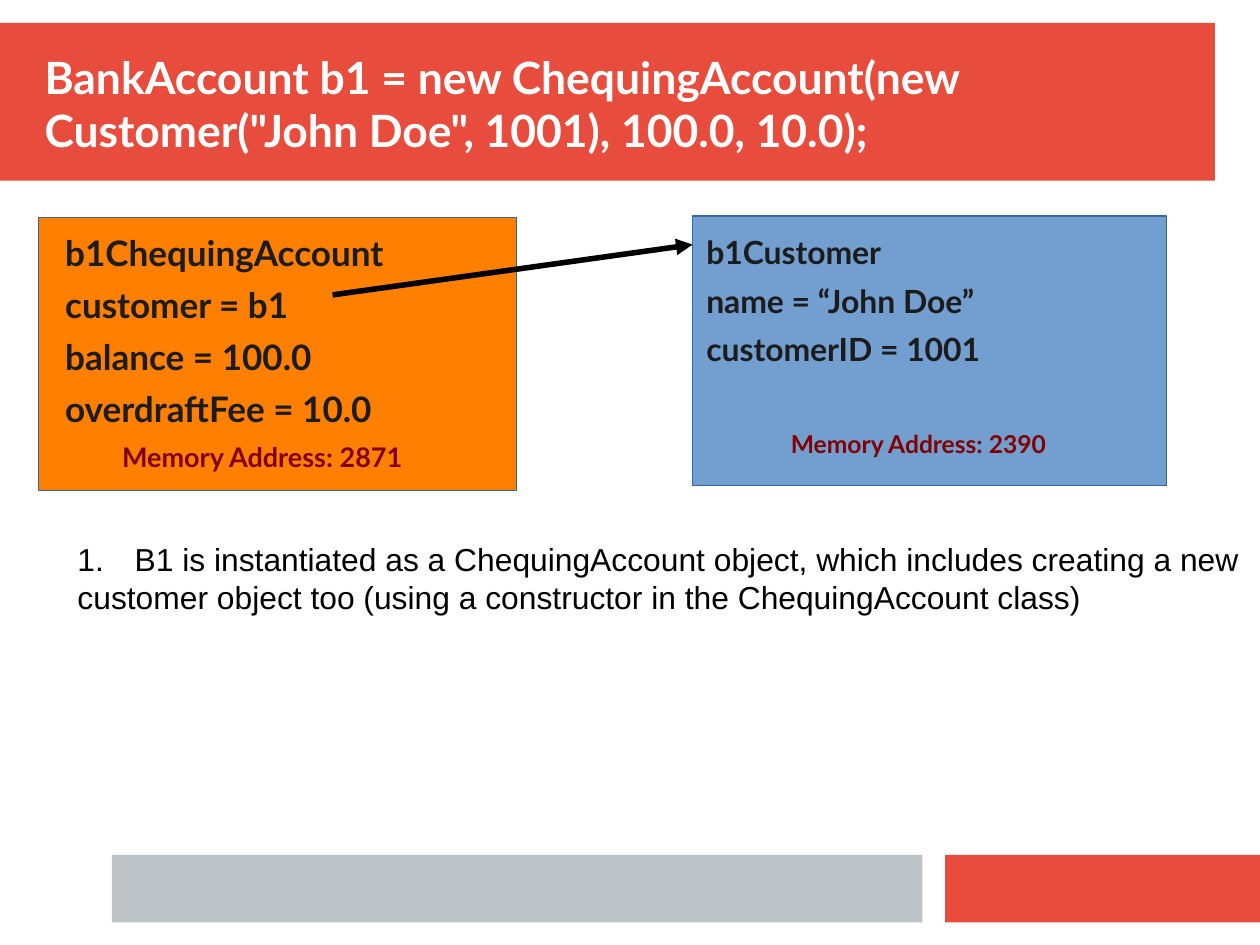
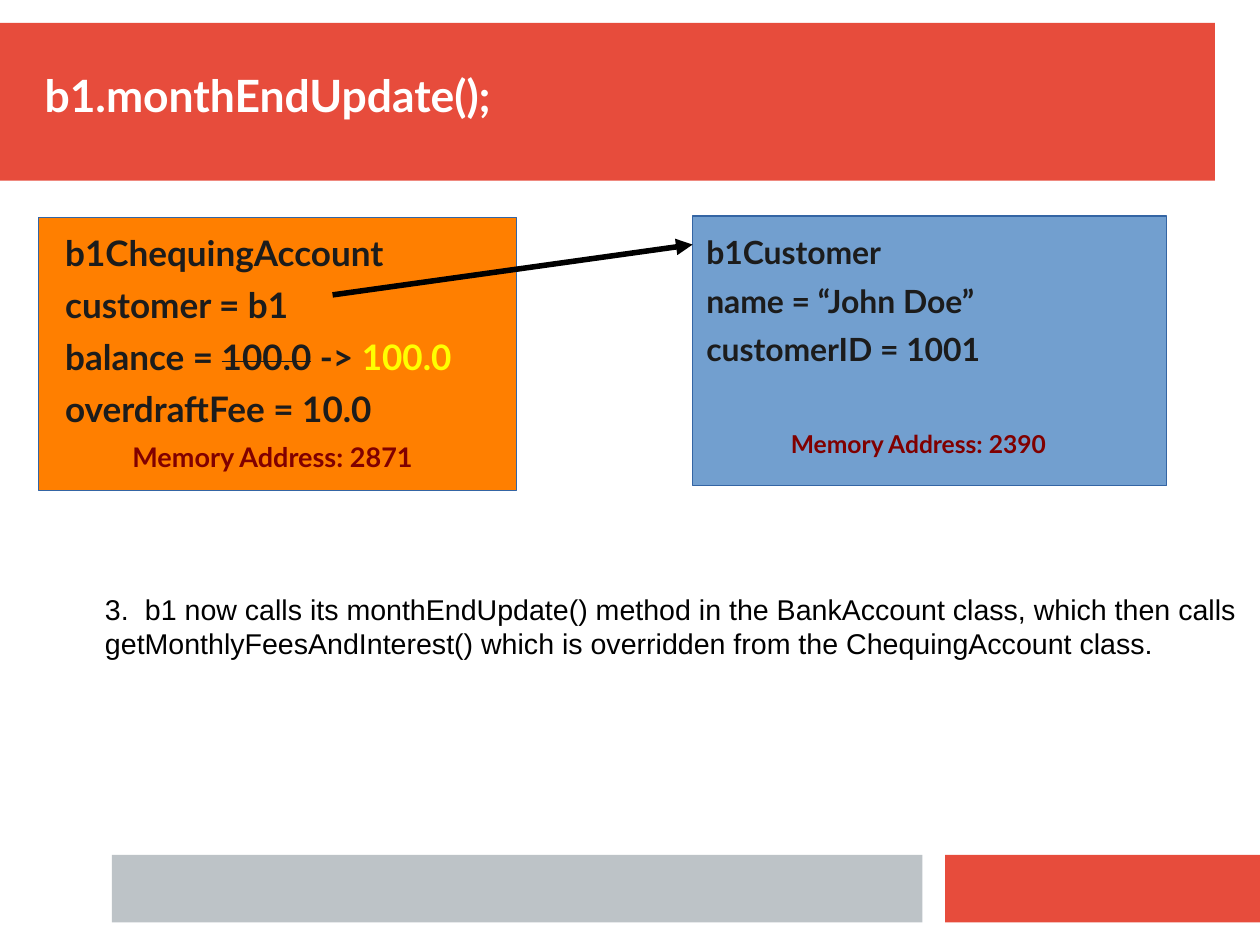
from dataclasses import dataclass

from lxml import etree
from pptx import Presentation
from pptx.dml.color import RGBColor
from pptx.enum import shapes, text
from pptx.oxml import ns
from pptx.util import Emu, Inches, Pt


@dataclass(frozen=True)
class Theme:
    red: str = "E74C3C"
    grey: str = "BDC3C7"
    blue: str = "729FCF"
    orange: str = "FF7F00"
    edge: str = "3465A4"
    ink: str = "1C1C1C"
    maroon: str = "800000"
    yellow: str = "FFFF00"
    white: str = "FFFFFF"
    black: str = "000000"
    head: str = "Lato"
    plain: str = "Arial"
    title: float = 28
    thin: float = 0.75
    thick: float = 3.5
    after: float = 11.4


T = Theme()
# The 28 by 21 cm screen format, as office suites store it.
PAGE = Emu(10080625), Emu(7559675)
BANDS = [
    ((0, 0.2, 10.63, 1.38), T.red),
    ((8.27, 7.48, 2.76, 0.59), T.red),
    ((0.98, 7.48, 7.09, 0.59), T.grey),
]


def rgb(code):
    return RGBColor.from_string(code)


def style(font, name, size, color, bold=False):
    font.name, font.size, font.bold = name, Pt(size), bold
    font.color.rgb = rgb(color)


def add_box(slide, area, fill, edge=None):
    box = slide.shapes.add_shape(
        shapes.MSO_SHAPE.RECTANGLE, *map(Inches, area))
    box.shadow.inherit = False
    box.fill.solid()
    box.fill.fore_color.rgb = rgb(fill)
    if edge:
        box.line.color.rgb = rgb(edge)
        box.line.width = Pt(T.thin)
    else:
        box.line.fill.background()
    return box


def add_bands(slide):
    """Draw the bands and move them to the layout, behind its placeholders."""
    tree = slide.slide_layout.shapes._spTree
    for spot, (area, fill) in enumerate(BANDS, start=2):
        tree.insert(spot, add_box(slide, area, fill)._element)


def set_title(slide, words, top):
    title = slide.shapes.title
    title.left, title.top, title.width, title.height = map(
        Inches, (0.39, top, 10.24, 0.98))
    frame = title.text_frame
    frame.text = words
    frame.auto_size = text.MSO_AUTO_SIZE.NONE
    frame.vertical_anchor = text.MSO_ANCHOR.BOTTOM
    frame.margin_left = frame.margin_right = 0
    frame.margin_top = frame.margin_bottom = 0
    line = frame.paragraphs[0]
    line.alignment = text.PP_ALIGN.LEFT
    style(line.font, T.head, T.title, T.white, True)


def add_card(slide, area, fill, lines, foot, sizes, pads, gap=0):
    """Draw an object: its fields, each a string or a list of
    (words, struck, color) runs, and its address after an extra gap."""
    frame = add_box(slide, area, fill, T.edge).text_frame
    frame.word_wrap = True
    frame.vertical_anchor = text.MSO_ANCHOR.TOP
    frame.margin_left, frame.margin_right = map(Inches, pads)
    frame.margin_top, frame.margin_bottom = Inches(2.1 - area[1]), 0
    for spot, runs in enumerate(lines + [foot]):
        para = frame.add_paragraph() if spot else frame.paragraphs[0]
        last = spot == len(lines)
        para.alignment = (
            text.PP_ALIGN.CENTER if last else text.PP_ALIGN.LEFT)
        para.line_spacing = 0.8
        para.space_after = Pt(T.after)
        style(para.font, T.head, sizes[last],
              T.maroon if last else T.ink, True)
        if last and gap:
            para.space_before = Pt(gap)
        if isinstance(runs, str):
            runs = [(runs, False, None)]
        for words, struck, color in runs:
            run = para.add_run()
            run.text = words
            if struck:
                run.font._element.set("strike", "sngStrike")
            if color:
                run.font.color.rgb = rgb(color)


def add_arrow(slide, start, end):
    arrow = slide.shapes.add_connector(
        shapes.MSO_CONNECTOR.STRAIGHT, *map(Inches, start + end))
    arrow.line.color.rgb = rgb(T.black)
    arrow.line.width = Pt(T.thick)
    props = arrow._element.spPr
    etree.SubElement(props.find(ns.qn("a:ln")), ns.qn("a:tailEnd"),
                     type="triangle")
    etree.SubElement(props, ns.qn("a:effectLst"))


def add_note(slide, area, lines, size, number, hang):
    """Add a numbered step; only its first line is indented."""
    box = slide.shapes.add_textbox(*map(Inches, area))
    frame = box.text_frame
    frame.word_wrap = False
    frame.auto_size = text.MSO_AUTO_SIZE.SHAPE_TO_FIT_TEXT
    frame.text = "\n".join(lines)
    for para in frame.paragraphs:
        style(para.font, T.plain, size, T.black)
    props = frame.paragraphs[0]._p.get_or_add_pPr()
    props.set("marL", str(Inches(hang)))
    props.set("indent", str(-Inches(hang)))
    mark = etree.Element(ns.qn("a:buAutoNum"), type="arabicPeriod",
                         startAt=str(number))
    props.insert(0, mark)


def add_objects(slide, balance, pad):
    add_card(slide, (6.06, 1.89, 4.15, 2.36), T.blue,
             ["b1Customer", "name = “John Doe”", "customerID = 1001"],
             "Memory Address: 2390", (20.1, 15.5), (0.12, 0.32), gap=30.7)
    add_card(slide, (0.34, 1.9, 4.18, 2.39), T.orange,
             ["b1ChequingAccount", "customer = b1", balance,
              "overdraftFee = 10.0"],
             "Memory Address: 2871", (22.1, 17), (0.23, pad))
    add_arrow(slide, (2.91, 2.58), (6.06, 2.14))


def main():
    deck = Presentation()
    deck.slide_width, deck.slide_height = PAGE
    layout = deck.slide_layouts.get_by_name("Title Only")

    create = deck.slides.add_slide(layout)
    add_bands(create)
    set_title(create, 'BankAccount b1 = new ChequingAccount(new '
              'Customer("John Doe", 1001), 100.0, 10.0);', 0.39)
    add_objects(create, "balance = 100.0", 0.5)
    add_note(create, (0.58, 4.67, 10.46, 0.77), [
        "B1 is instantiated as a ChequingAccount object, "
        "which includes creating a new",
        "customer object too (using a constructor in the "
        "ChequingAccount class)"], 20, 1, 0.5)

    update = deck.slides.add_slide(layout)
    set_title(update, "b1.monthEndUpdate();", 0.08)
    add_objects(update, [
        ("balance = ", False, None), ("100.0", True, None),
        (" -> ", False, None), ("100.0", False, T.yellow)], 0.32)
    add_note(update, (0.82, 5.13, 10.19, 0.71), [
        "b1 now calls its monthEndUpdate() method in the "
        "BankAccount class, which then calls",
        "getMonthlyFeesAndInterest() which is overridden from the "
        "ChequingAccount class."], 18, 3, 0.35)

    deck.save("out.pptx")


if __name__ == "__main__":
    main()
